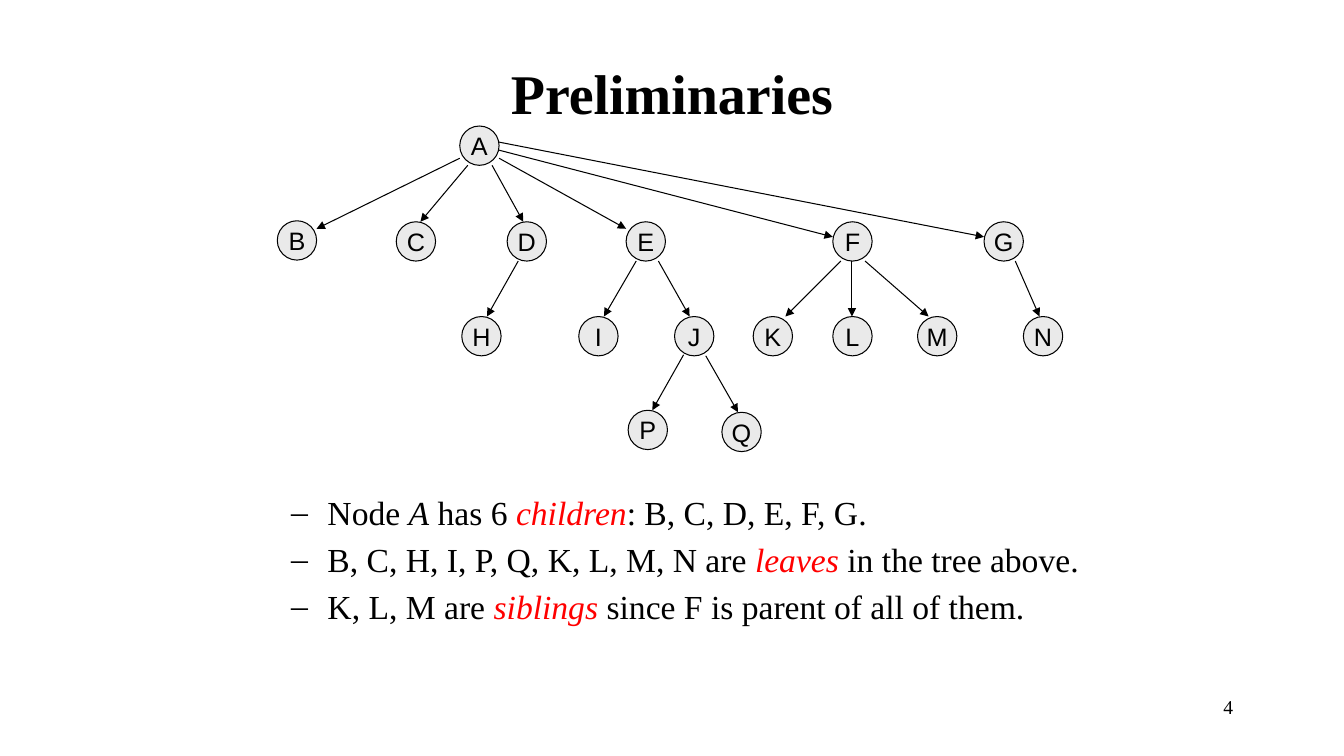
from lxml.etree import SubElement
from pptx import Presentation
from pptx.dml.color import RGBColor
from pptx.enum.shapes import MSO_CONNECTOR as CONNECTOR, MSO_SHAPE as SHAPE
from pptx.enum.text import MSO_ANCHOR as ANCHOR, PP_ALIGN as ALIGN
from pptx.oxml.ns import qn
from pptx.util import Pt

PX = 9144  # 100 px to the inch
DIAMETER = 39
BLACK, RED, NODE_FILL = "000000", "FF0000", "EAEAEA"

SERIF = {"name": "Times New Roman", "size": Pt(24)}
TITLE = SERIF | {"size": Pt(40), "bold": True}
NUMBER = SERIF | {"size": Pt(14)}
LABEL = {"name": "Arial", "size": Pt(18)}
ITALIC = {"italic": True}

# label: left, top
NODES = {
    "A": (456, 125),
    "B": (275, 219), "C": (393, 220), "D": (503, 220),
    "E": (621, 220), "F": (826, 220), "G": (976, 220),
    "H": (458, 314), "I": (574, 314), "J": (669, 314), "K": (747, 314),
    "L": (826, 314), "M": (910, 314), "N": (1015, 314),
    "P": (623, 407), "Q": (716, 409),
}
# parent and child: start x, start y, end x, end y
EDGES = {
    "AB": (456, 157, 314, 227), "AC": (464, 164, 417, 220),
    "AD": (488, 164, 519, 220), "AE": (495, 157, 621, 227),
    "AF": (495, 149, 826, 235), "AG": (495, 141, 976, 235),
    "DH": (514, 259, 483, 314), "EI": (631, 259, 599, 314),
    "EJ": (653, 259, 684, 314), "FK": (834, 259, 779, 314),
    "FL": (845, 259, 845, 314), "FM": (858, 259, 921, 314),
    "GN": (1007, 259, 1031, 314), "JP": (678, 352, 647, 407),
    "JQ": (700, 353, 732, 409),
}
# each statement is a list of (text, colour, extra format)
STATEMENTS = [
    [("Node ", BLACK, {}), ("A", BLACK, ITALIC), (" has 6 ", BLACK, {}),
     ("children", RED, ITALIC), (": B, C, D, E, F, G.", BLACK, {})],
    [("B, C, H, I, P, Q, K, L, M, N are ", BLACK, {}),
     ("leaves ", RED, ITALIC), ("in the tree above.", BLACK, {})],
    [("K, L, M are ", BLACK, {}), ("siblings", RED, ITALIC),
     (" since F is parent of all of them.", BLACK, {})],
]


def px(*lengths):
    return [length * PX for length in lengths]


def colour(hex_string):
    return RGBColor.from_string(hex_string)


def set_attributes(target, values):
    for name, value in values.items():
        setattr(target, name, value)


def add_run(paragraph, text, values, hex_string=BLACK):
    run = paragraph.add_run()
    run.text = text
    set_attributes(run.font, values)
    run.font.color.rgb = colour(hex_string)


def add_text_frame(slide, box, anchor=ANCHOR.TOP):
    frame = slide.shapes.add_textbox(*px(*box)).text_frame
    set_attributes(frame, {"word_wrap": True, "vertical_anchor": anchor})
    return frame


def add_line_of_text(slide, box, text, values, alignment, anchor=ANCHOR.TOP):
    paragraph = add_text_frame(slide, box, anchor).paragraphs[0]
    paragraph.alignment = alignment
    add_run(paragraph, text, values)


def add_dash_bullet(paragraph):
    properties = paragraph._p.get_or_add_pPr()
    left, indent = px(73, -36)
    properties.set("marL", str(left))
    properties.set("indent", str(indent))
    SubElement(properties, qn("a:buFont"), typeface=SERIF["name"])
    SubElement(properties, qn("a:buChar"), char="–")


def add_statements(slide, box):
    frame = add_text_frame(slide, box)
    for index, statement in enumerate(STATEMENTS):
        paragraph = frame.add_paragraph() if index else frame.paragraphs[0]
        paragraph.space_before = Pt(4.8)
        add_dash_bullet(paragraph)
        for text, hex_string, extra in statement:
            add_run(paragraph, text, SERIF | extra, hex_string)


def style_line(line):
    line.color.rgb = colour(BLACK)
    line.width = Pt(0.75)


def add_node(slide, label, left, top):
    node = slide.shapes.add_shape(
        SHAPE.OVAL, *px(left, top, DIAMETER, DIAMETER))
    node.shadow.inherit = False
    node.fill.solid()
    node.fill.fore_color.rgb = colour(NODE_FILL)
    style_line(node.line)
    frame = node.text_frame
    set_attributes(frame, {"word_wrap": False,
                           "vertical_anchor": ANCHOR.MIDDLE})
    frame.paragraphs[0].alignment = ALIGN.CENTER
    add_run(frame.paragraphs[0], label, LABEL)


def add_edge(slide, ends):
    edge = slide.shapes.add_connector(CONNECTOR.STRAIGHT, *px(*ends))
    style_line(edge.line)
    SubElement(edge.line._get_or_add_ln(), qn("a:tailEnd"), type="triangle")
    SubElement(edge._element.spPr, qn("a:effectLst"))


def add_tree(slide):
    for label, (left, top) in NODES.items():
        add_node(slide, label, left, top)
    for ends in EDGES.values():
        add_edge(slide, ends)


def main():
    presentation = Presentation()
    width, height = px(1333, 750)
    set_attributes(presentation, {"slide_width": width,
                                  "slide_height": height})
    slide = presentation.slides.add_slide(presentation.slide_layouts[6])
    add_line_of_text(slide, (955, 684, 278, 50), "4", NUMBER, ALIGN.RIGHT)
    add_line_of_text(slide, (100, 50, 1133, 83), "Preliminaries", TITLE,
                     ALIGN.CENTER, ANCHOR.MIDDLE)
    add_statements(slide, (242, 483, 850, 183))
    add_tree(slide)
    presentation.save("out.pptx")


if __name__ == "__main__":
    main()
